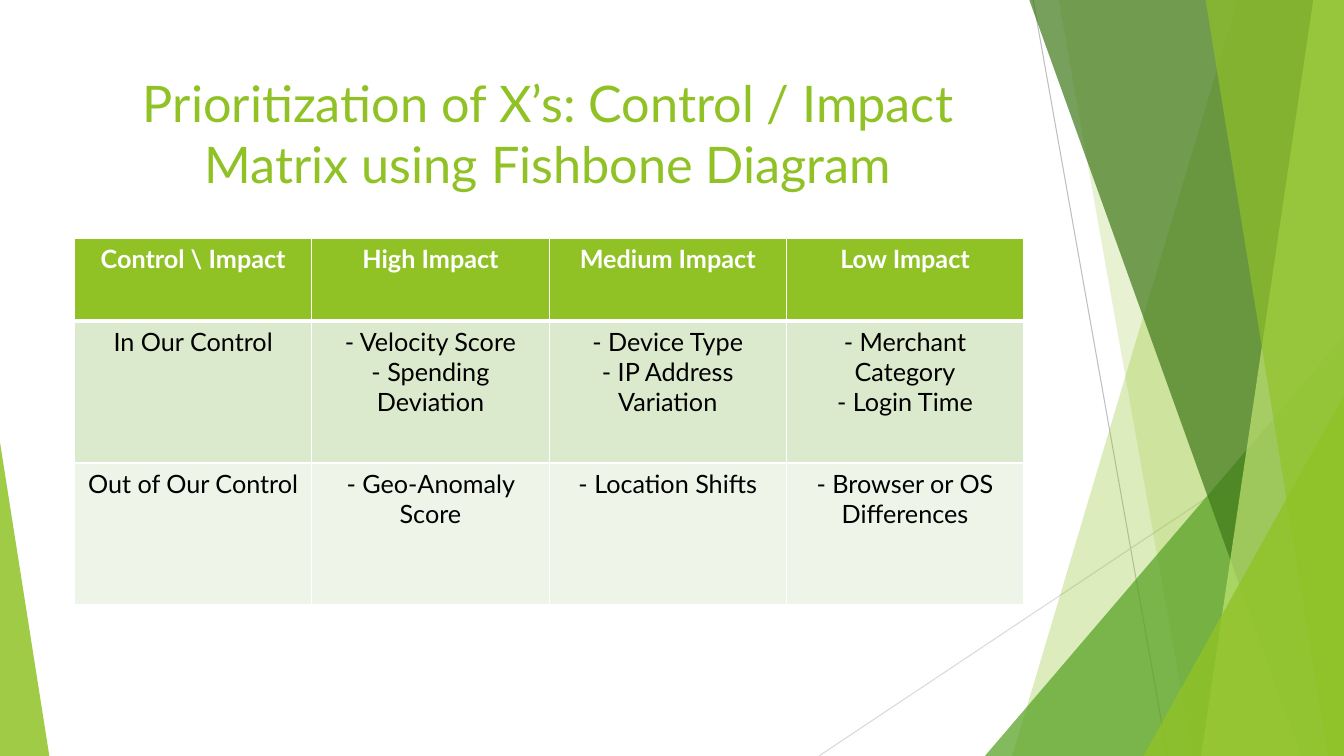
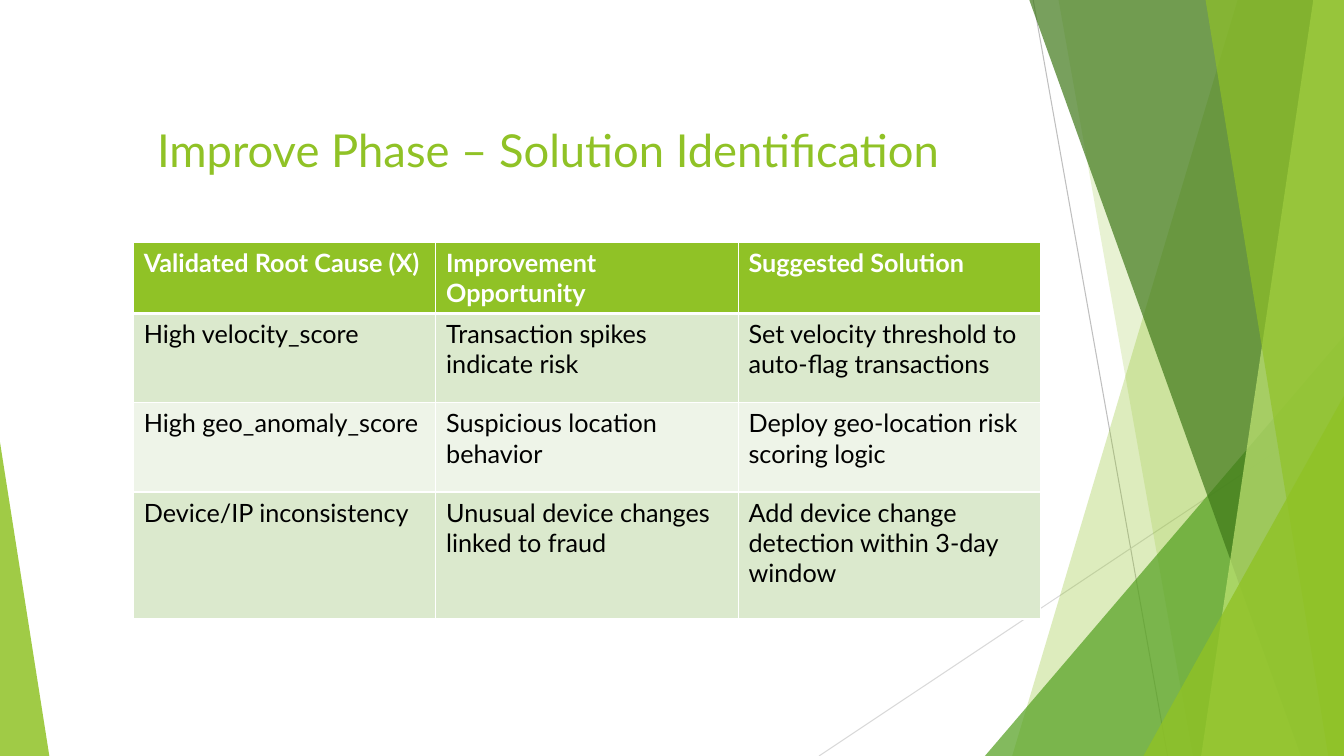
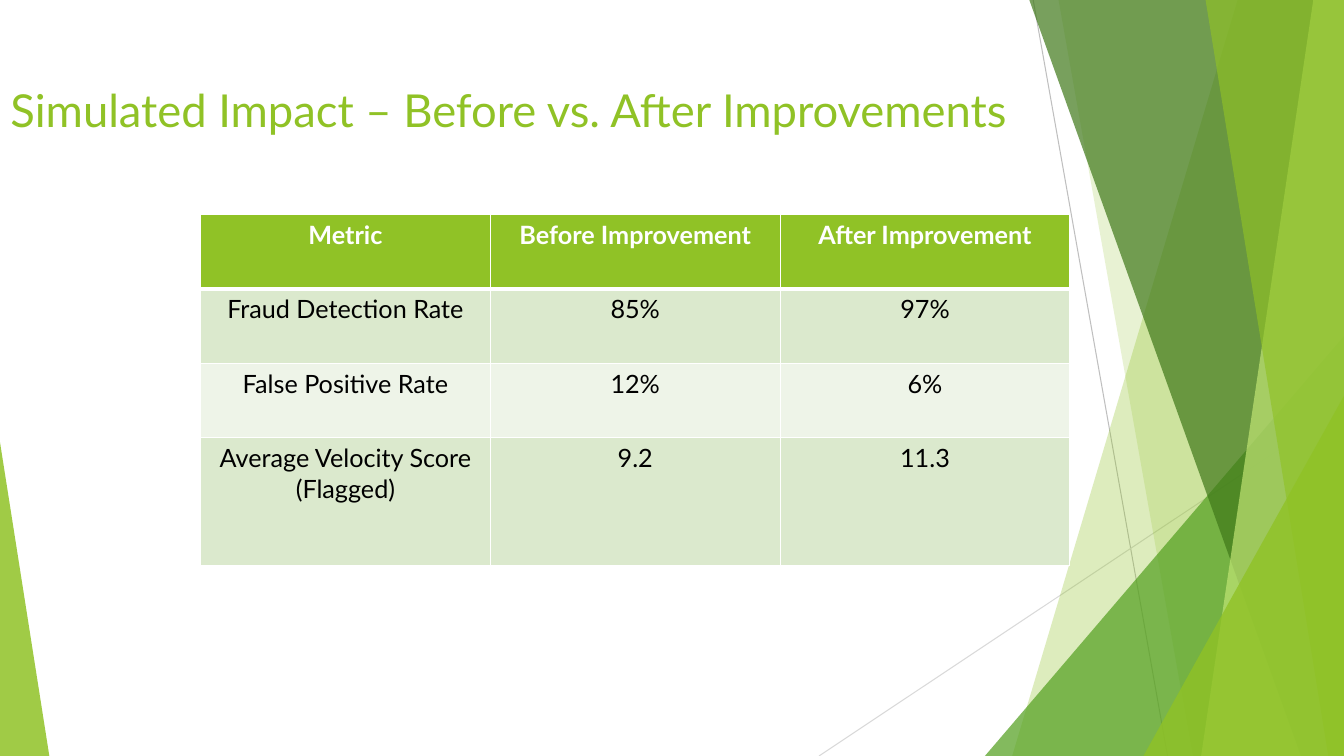
from dataclasses import dataclass

from lxml.etree import SubElement
from pptx import Presentation
from pptx.dml.color import RGBColor
from pptx.enum.shapes import MSO_CONNECTOR, MSO_SHAPE
from pptx.enum.text import MSO_ANCHOR, PP_ALIGN
from pptx.oxml.ns import qn
from pptx.util import Pt

PX = 9525  # EMU per px, 96 px to the inch
W, H = 1280, 720


@dataclass(frozen=True)
class Theme:
    font: str = "Lato"
    lime: str = "90C226"
    pale_lime: str = "C0E474"
    green: str = "54A021"
    forest: str = "3F7819"
    white: str = "FFFFFF"
    black: str = "000000"
    band_dark: str = "DBE9CD"
    band_light: str = "EEF4E8"
    line_dark: str = "BFBFBF"
    line_light: str = "D9D9D9"
    title: float = 36
    title_small: float = 32.4
    body: float = 18
    hairline: float = 0.75
    border: float = 1
    border_head: float = 3


T = Theme()
CENTER, LEFT = PP_ALIGN.CENTER, PP_ALIGN.LEFT


def write(tf, text, size=T.body, color=T.black, bold=False, align=LEFT, margins=(10, 5)):
    """Fill a text frame, one paragraph per line; margins are (side, top) in px."""
    side, top = margins
    tf.word_wrap = True
    tf.margin_left = tf.margin_right = side * PX
    tf.margin_top, tf.margin_bottom = top * PX, 5 * PX
    for i, line in enumerate(text.split("\n")):
        p = tf.add_paragraph() if i else tf.paragraphs[0]
        p.alignment = align
        r = p.add_run()
        r.text = line
        r.font.name, r.font.size, r.font.bold = T.font, Pt(size), bold
        r.font.color.rgb = RGBColor.from_string(color)


def add_border(cell, side, width):
    ln = SubElement(cell._tc.get_or_add_tcPr(), qn(f"a:ln{side}"), w=str(Pt(width)))
    SubElement(SubElement(ln, qn("a:solidFill")), qn("a:srgbClr"), val=T.white)


# Lines: x1, y1, x2, y2, colour
LINES = [
    (984, 0, 1112, H, T.line_dark),
    (W, 387, 780, H, T.line_light),
]

# Facets, back to front: outline, colour, opacity in percent.
# A blade is (top x, foot x) and reaches the right edge;
# a triangle is (left, top, width, height, apex position).
FACETS = [
    ((1179, 964), T.lime, 30),
    ((1008, 1136), T.lime, 20),
    ((938, 320, 342, 400, 1), T.green, 72),
    ((980, 1239), T.forest, 70),
    ((1251, 1144), T.pale_lime, 70),
    ((1148, 1265), T.lime, 65),
    ((1089, 377, 191, 343, 1), T.lime, 80),
    ((0, 421, 47, 299, 0), T.lime, 85),
]

SLIDES = [
    dict(
        title="Prioritization of X’s: Control / Impact Matrix using Fishbone Diagram",
        title_box=(71, 64, 902, 138),
        title_format=dict(size=T.title, align=CENTER),
        origin=(71, 227), col_w=226, row_h=(79, 135, 135),
        cell_format=dict(align=CENTER, margins=(8, 5)),
        rows=[
            ("Control \\ Impact", "High Impact", "Medium Impact", "Low Impact"),
            ("In Our Control", "- Velocity Score\n- Spending Deviation",
             "- Device Type\n- IP Address Variation", "- Merchant Category\n- Login Time"),
            ("Out of Our Control", "- Geo-Anomaly Score", "- Location Shifts",
             "- Browser or OS Differences"),
        ],
    ),
    dict(
        title="Improve Phase – Solution Identification",
        title_box=(71, 64, 902, 138),
        title_format=dict(size=T.title_small, align=CENTER, margins=(10, 57)),
        origin=(127, 231), col_w=288, row_h=(67, 85, 85, 121),
        cell_format=dict(align=LEFT),
        rows=[
            ("Validated Root Cause (X)", "Improvement Opportunity", "Suggested Solution"),
            ("High velocity_score", "Transaction spikes indicate risk",
             "Set velocity threshold to auto-flag transactions"),
            ("High geo_anomaly_score", "Suspicious location behavior",
             "Deploy geo-location risk scoring logic"),
            ("Device/IP inconsistency", "Unusual device changes linked to fraud",
             "Add device change detection within 3-day window"),
        ],
    ),
    dict(
        title="Simulated Impact – Before vs. After Improvements",
        title_box=(0, 73, 1104, 80),
        title_format=dict(size=T.title_small, align=LEFT),
        origin=(191, 204), col_w=276, row_h=(71, 71, 71, 122),
        cell_format=dict(align=CENTER),
        rows=[
            ("Metric", "Before Improvement", "After Improvement"),
            ("Fraud Detection Rate", "85%", "97%"),
            ("False Positive Rate", "12%", "6%"),
            ("Average Velocity Score (Flagged)", "9.2", "11.3"),
        ],
    ),
]

prs = Presentation()
prs.slide_width, prs.slide_height = W * PX, H * PX

for page in SLIDES:
    s = prs.slides.add_slide(prs.slide_layouts[6])

    # Backdrop
    for x1, y1, x2, y2, color in LINES:
        cn = s.shapes.add_connector(MSO_CONNECTOR.STRAIGHT, x1 * PX, y1 * PX, x2 * PX, y2 * PX)
        cn.line.color.rgb = RGBColor.from_string(color)
        cn.line.width = Pt(T.hairline)
        SubElement(cn._element.spPr, qn("a:effectLst"))

    for outline, color, opacity in FACETS:
        if len(outline) == 2:
            top_x, foot_x = outline
            fb = s.shapes.build_freeform(top_x, -1, scale=PX)
            fb.add_line_segments([(W, -1), (W, H), (foot_x, H)], close=True)
            sp = fb.convert_to_shape()
        else:
            *box, apex = outline
            sp = s.shapes.add_shape(MSO_SHAPE.ISOSCELES_TRIANGLE, *(v * PX for v in box))
            sp.adjustments[0] = apex
        sp.shadow.inherit = False
        sp.line.fill.background()
        sp.fill.solid()
        sp.fill.fore_color.rgb = RGBColor.from_string(color)
        clr = sp._element.spPr.find(qn("a:solidFill")).find(qn("a:srgbClr"))
        SubElement(clr, qn("a:alpha"), val=str(opacity * 1000))

    # Title
    tb = s.shapes.add_textbox(*(v * PX for v in page["title_box"]))
    tb.text_frame.vertical_anchor = MSO_ANCHOR.TOP
    write(tb.text_frame, page["title"], color=T.lime, **page["title_format"])

    # Table
    rows, row_h, col_w = page["rows"], page["row_h"], page["col_w"]
    n_cols = len(rows[0])
    x, y = page["origin"]
    table = s.shapes.add_table(len(rows), n_cols, x * PX, y * PX,
                               n_cols * col_w * PX, sum(row_h) * PX).table
    table.horz_banding = False
    for col in table.columns:
        col.width = col_w * PX
    for i, row in enumerate(rows):
        table.rows[i].height = row_h[i] * PX
        head = i == 0
        fill = T.lime if head else T.band_dark if i % 2 else T.band_light
        for j, text in enumerate(row):
            cell = table.cell(i, j)
            write(cell.text_frame, text, color=T.white if head else T.black, bold=head,
                  **page["cell_format"])
            for side in "LRTB":
                under_head = (i, side) in ((0, "B"), (1, "T"))
                add_border(cell, side, T.border_head if under_head else T.border)
            cell.fill.solid()
            cell.fill.fore_color.rgb = RGBColor.from_string(fill)
            # Cell insets live on the cell, not on its text frame
            side_px, top_px = page["cell_format"].get("margins", (10, 5))
            cell.margin_left = cell.margin_right = side_px * PX
            cell.margin_top = cell.margin_bottom = top_px * PX

prs.save("out.pptx")
